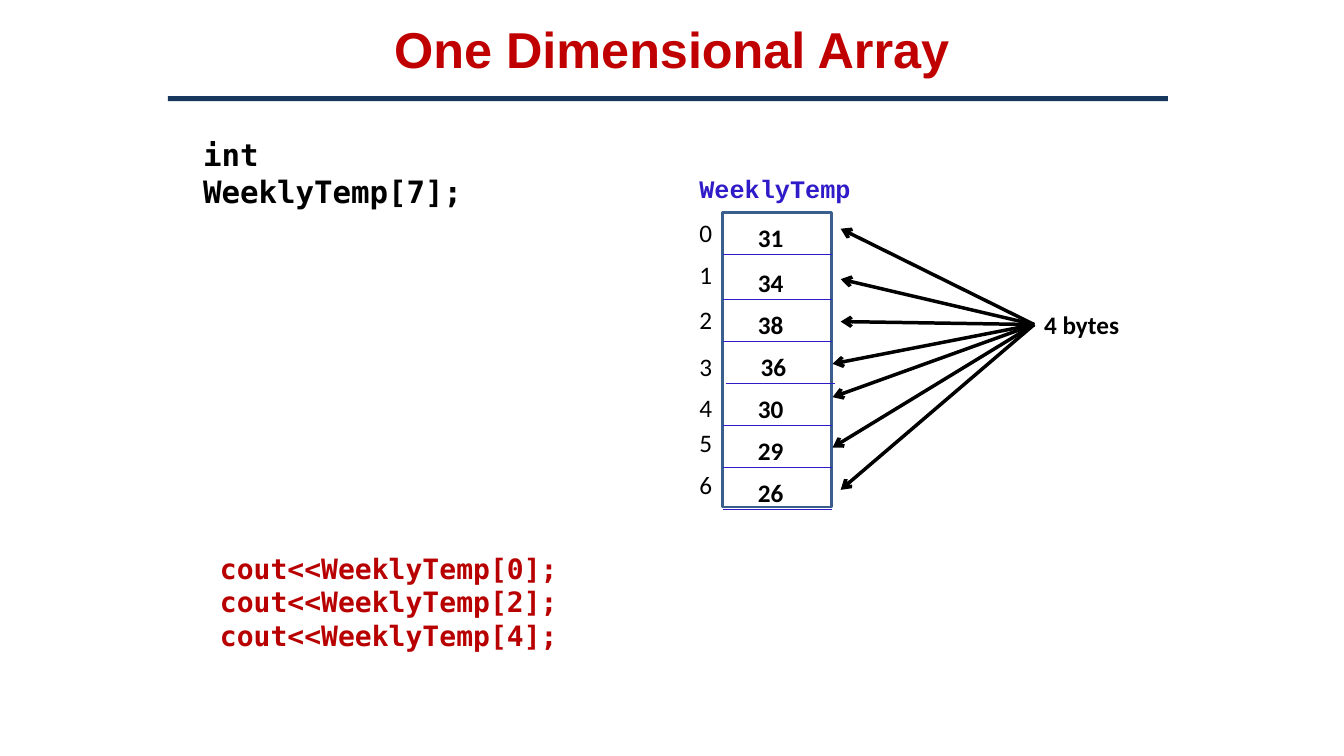
"""Build a slide that shows a one dimensional array in memory."""
from dataclasses import dataclass

import pptx
import pptx.dml.color
import pptx.enum.shapes
import pptx.enum.text
import pptx.oxml.ns
import pptx.shapes.connector
import pptx.slide
import pptx.util
from lxml import etree

Pt = pptx.util.Pt
RGBColor = pptx.dml.color.RGBColor
Align = pptx.enum.text.PP_ALIGN
Anchor = pptx.enum.text.MSO_ANCHOR
Shape = pptx.enum.shapes.MSO_SHAPE

BLACK = RGBColor(0x00, 0x00, 0x00)
TITLE_RED = RGBColor(0xC0, 0x00, 0x00)
CODE_RED = RGBColor(0xB8, 0x00, 0x00)
RULE_NAVY = RGBColor(0x17, 0x37, 0x5E)
FRAME_BLUE = RGBColor(0x3A, 0x5F, 0x8C)
ARRAY_VIOLET = RGBColor(0x2F, 0x1B, 0xC7)

ARRAY_LEFT = 516.24
ARRAY_WIDTH = 78
LABEL_LEFT = 492.48
LABEL_HEIGHT = 29
BYTES_LEFT = 738.72
BYTES_MIDDLE = 231.84


@dataclass(frozen=True)
class Element:
    """One array element with its row positions and arrow tip."""
    value: str
    index_top: float
    floor: float
    tip_x: float
    tip_y: float
    shift: float = 0


ELEMENTS = [
    Element("31", 151.9, 181.5, 600.5, 163.4),
    Element("34", 181.5, 213.8, 600.5, 199.4),
    Element("38", 213.8, 244, 600.5, 229.7),
    Element("36", 247.6, 273.6, 594.7, 259.9, shift=2),
    Element("30", 276.5, 303.9, 594.7, 283.7),
    Element("29", 301.7, 334, 594.7, 319.7),
    Element("26", 331.9, 363.7, 600.5, 349.9),
]


def add_text(slide: pptx.slide.Slide, text: str, left: float, top: float,
             width: float, height: float, *, font: str = "Calibri",
             size: float = 18, color: RGBColor = BLACK, bold: bool = True,
             wrap: bool = False, align: Align = Align.LEFT,
             anchor: Anchor = Anchor.TOP) -> None:
    """Add a text box with one paragraph per line of text."""
    box = slide.shapes.add_textbox(Pt(left), Pt(top), Pt(width), Pt(height))
    frame = box.text_frame
    frame.word_wrap = wrap
    frame.vertical_anchor = anchor
    frame.text = text
    for paragraph in frame.paragraphs:
        paragraph.alignment = align
        paragraph.font.name = font
        paragraph.font.size = Pt(size)
        paragraph.font.bold = bold
        paragraph.font.color.rgb = color


def add_line(slide: pptx.slide.Slide, start: tuple[float, float],
             end: tuple[float, float], color: RGBColor, weight: float,
             arrow: bool = False) -> None:
    """Add a straight line, with an open arrowhead at its end if asked."""
    line = slide.shapes.add_connector(
        pptx.enum.shapes.MSO_CONNECTOR.STRAIGHT,
        Pt(start[0]), Pt(start[1]), Pt(end[0]), Pt(end[1]))
    line.line.color.rgb = color
    line.line.width = Pt(weight)
    if arrow:
        etree.SubElement(line.line._get_or_add_ln(),
                         pptx.oxml.ns.qn("a:tailEnd"), type="arrow")
    etree.SubElement(line._element.spPr, pptx.oxml.ns.qn("a:effectLst"))


def add_element(slide: pptx.slide.Slide, index: int, element: Element) -> None:
    """Draw the index, value, floor line and size arrow of an element."""
    left = ARRAY_LEFT + element.shift
    add_line(slide, (left, element.floor), (left + ARRAY_WIDTH, element.floor),
             ARRAY_VIOLET, 0.75)
    add_text(slide, element.value, left + 18, element.floor - 26.3,
             33, LABEL_HEIGHT)
    add_text(slide, str(index), LABEL_LEFT, element.index_top,
             23.6, LABEL_HEIGHT, bold=False)
    add_line(slide, (BYTES_LEFT, BYTES_MIDDLE), (element.tip_x, element.tip_y),
             BLACK, 2.5, arrow=True)


def main() -> None:
    """Build and save the slide."""
    deck = pptx.Presentation()
    deck.slide_width, deck.slide_height = Pt(960), Pt(540)
    slide = deck.slides.add_slide(deck.slide_layouts[6])

    add_text(slide, "One Dimensional Array", 120, 1.5, 720, 66, font="Arial",
             size=36, color=TITLE_RED, wrap=True, align=Align.CENTER,
             anchor=Anchor.MIDDLE)
    title_rule = slide.shapes.add_shape(
        Shape.RECTANGLE, Pt(120), Pt(68.6), Pt(714.3), Pt(3.6))
    title_rule.shadow.inherit = False
    title_rule.fill.solid()
    title_rule.fill.fore_color.rgb = RULE_NAVY
    title_rule.line.fill.background()

    add_text(slide, "int WeeklyTemp[7];", 138, 93.6, 234, 34,
             font="DejaVu Sans Mono", size=22, wrap=True)

    array_frame = slide.shapes.add_shape(
        Shape.RECTANGLE, Pt(ARRAY_LEFT), Pt(152), Pt(ARRAY_WIDTH), Pt(210.2))
    array_frame.shadow.inherit = False
    array_frame.fill.background()
    array_frame.line.color.rgb = FRAME_BLUE
    array_frame.line.width = Pt(2)

    for index, element in enumerate(ELEMENTS):
        add_element(slide, index, element)

    add_text(slide, "WeeklyTemp", LABEL_LEFT, 120.2, 144, LABEL_HEIGHT,
             font="Courier New", color=ARRAY_VIOLET, wrap=True)
    add_text(slide, "4 bytes", BYTES_LEFT, 217.4, 68.4, LABEL_HEIGHT)

    printed = "\n".join(f"cout<<WeeklyTemp[{index}];" for index in (0, 2, 4))
    add_text(slide, printed, 150, 390.2, 258, 104.4, font="DejaVu Sans Mono",
             size=20, color=CODE_RED, wrap=True)

    deck.save("out.pptx")


if __name__ == "__main__":
    main()
